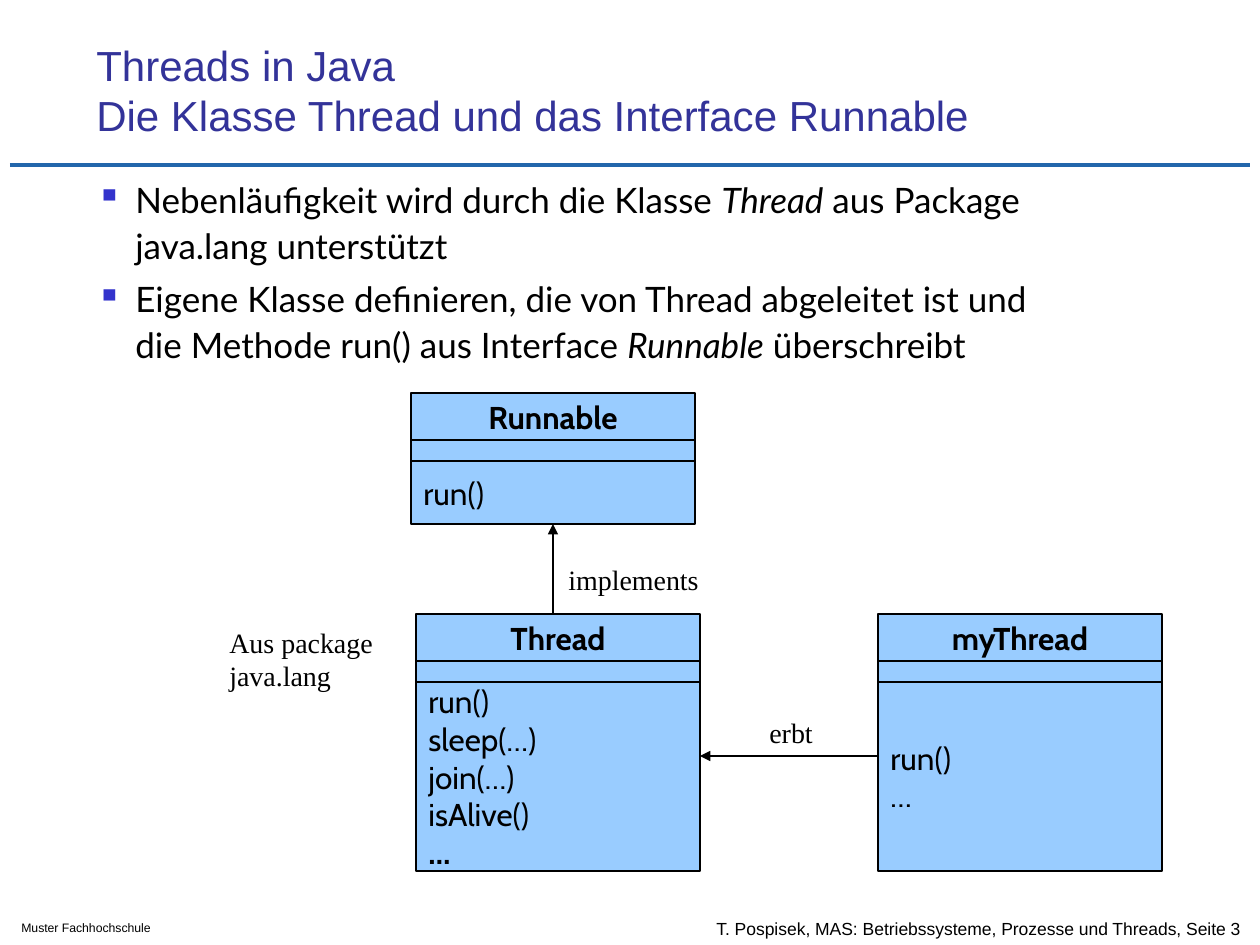
from lxml import etree
from pptx import Presentation
from pptx.dml.color import RGBColor
from pptx.enum.shapes import MSO_CONNECTOR, MSO_SHAPE
from pptx.enum.text import MSO_ANCHOR, PP_ALIGN
from pptx.oxml.ns import qn
from pptx.util import Pt

RECTANGLE, STRAIGHT = MSO_SHAPE.RECTANGLE, MSO_CONNECTOR.STRAIGHT
TOP, MIDDLE = MSO_ANCHOR.TOP, MSO_ANCHOR.MIDDLE
LEFT, CENTER = PP_ALIGN.LEFT, PP_ALIGN.CENTER
BOTTOM_SIDE = 2
PX = 914400 / 126

THEME = {
    "text": RGBColor(0x00, 0x00, 0x00),
    "title": RGBColor(0x33, 0x33, 0x99),
    "rule": RGBColor(0x22, 0x66, 0xAB),
    "bullet": "3333CC",
    "class_fill": RGBColor(0x99, 0xCC, 0xFF),
    "title_font": ("Arial", 24),
    "body_font": ("Lato", 20),
    "class_font": ("Cabin", 18),
    "label_font": ("Times New Roman", 16),
    "footer_font": ("Arial", 10),
    "school_font": ("Arial", 7),
}


def write(shape, text, font, color="text", anchor=TOP, align=LEFT, bold=False):
    """Fill a shape with text in one style from the theme."""
    frame = shape.text_frame
    frame.text = text
    frame.word_wrap = True
    frame.vertical_anchor = anchor
    name, size = THEME[font]
    for paragraph in frame.paragraphs:
        paragraph.alignment = align
        for run in paragraph.runs:
            run.font.name = name
            run.font.size = Pt(size)
            run.font.color.rgb = THEME[color]
            run.font.bold = bold


def add_line(start, end, color, width, arrow=False):
    points = [round(value * PX) for value in (*start, *end)]
    line = slide.shapes.add_connector(STRAIGHT, *points)
    line.line.color.rgb = THEME[color]
    line.line.width = Pt(width)
    if arrow:
        etree.SubElement(line.line._get_or_add_ln(), qn("a:tailEnd"), type="triangle")
    etree.SubElement(line._element.spPr, qn("a:effectLst"))
    return line


presentation = Presentation()
presentation.slide_width = round(1260 * PX)
presentation.slide_height = round(945 * PX)
slide = presentation.slides.add_slide(presentation.slide_layouts[6])

add_line((10, 165), (1250, 165), "rule", 2.5)

# Title, footers and diagram labels
texts = [
    ((84, 42, 1074, 95), "Threads in Java\vDie Klasse Thread und das Interface Runnable",
     "title_font", "title", MIDDLE),
    ((704, 907, 556, 42), "T. Pospisek, MAS: Betriebssysteme, Prozesse und Threads, Seite 3",
     "footer_font", "text", MIDDLE),
    ((9, 914, 217, 28), "Muster Fachhochschule", "school_font", "text", TOP),
    ((217, 619, 180, 79), "Aus package\njava.lang", "label_font", "text", TOP),
    ((556, 556, 170, 47), "implements", "label_font", "text", TOP),
    ((757, 709, 80, 47), "erbt", "label_font", "text", TOP),
]
for box, text, font, color, anchor in texts:
    text_box = slide.shapes.add_textbox(*(round(value * PX) for value in box))
    write(text_box, text, font, color, anchor)

# Bullets, each with one word in italics
bullets = [
    ("Nebenläufigkeit wird durch die Klasse ", "Thread",
     " aus Package java.lang unterstützt"),
    ("Eigene Klasse definieren, die von Thread abgeleitet ist und "
     "die Methode run() aus Interface ", "Runnable", " überschreibt"),
]
body = slide.shapes.add_textbox(*(round(value * PX) for value in (84, 168, 998, 251)))
body.text_frame.word_wrap = True
body_name, body_size = THEME["body_font"]
for index, parts in enumerate(bullets):
    frame = body.text_frame
    paragraph = frame.add_paragraph() if index else frame.paragraphs[0]
    paragraph.line_spacing = 1.1
    paragraph.space_before = Pt(4)
    properties = paragraph._p.get_or_add_pPr()
    properties.set("marL", str(round(39 * PX)))
    properties.set("indent", str(round(-39 * PX)))
    bullet_color = etree.SubElement(properties, qn("a:buClr"))
    etree.SubElement(bullet_color, qn("a:srgbClr"), val=THEME["bullet"])
    etree.SubElement(properties, qn("a:buChar"), char="▪")
    for position, part in enumerate(parts):
        run = paragraph.add_run()
        run.text = part
        run.font.name = body_name
        run.font.size = Pt(body_size)
        run.font.color.rgb = THEME["text"]
        run.font.italic = position == 1

# Class boxes: name, empty attributes, operations
CLASS_WIDTH, NAME_HEIGHT, ATTRIBUTE_HEIGHT = 284, 47, 21
classes = [
    ("Runnable", 411, 393, 63, "run()"),
    ("Thread", 416, 614, 189, "run()\nsleep(…)\njoin(…)\nisAlive()\n…"),
    ("myThread", 878, 614, 189, "run()\n…"),
]
operation_boxes = {}
for name, left, top, operations_height, operations in classes:
    compartments = [
        (NAME_HEIGHT, name, CENTER, True),
        (ATTRIBUTE_HEIGHT, "", LEFT, False),
        (operations_height, operations, LEFT, False),
    ]
    for height, text, align, bold in compartments:
        box = (left, top, CLASS_WIDTH, height)
        shape = slide.shapes.add_shape(RECTANGLE, *(round(value * PX) for value in box))
        shape.shadow.inherit = False
        shape.fill.solid()
        shape.fill.fore_color.rgb = THEME["class_fill"]
        shape.line.color.rgb = THEME["text"]
        shape.line.width = Pt(0.75)
        if text:
            write(shape, text, "class_font", anchor=MIDDLE, align=align, bold=bold)
        top += height
    operation_boxes[name] = shape
operation_boxes["Thread"].text_frame.paragraphs[-1].runs[0].font.bold = True

implements = add_line((553, 614), (553, 524), "text", 1.5, arrow=True)
implements.end_connect(operation_boxes["Runnable"], BOTTOM_SIDE)
add_line((878, 756), (700, 756), "text", 1.5, arrow=True)

presentation.save("out.pptx")
